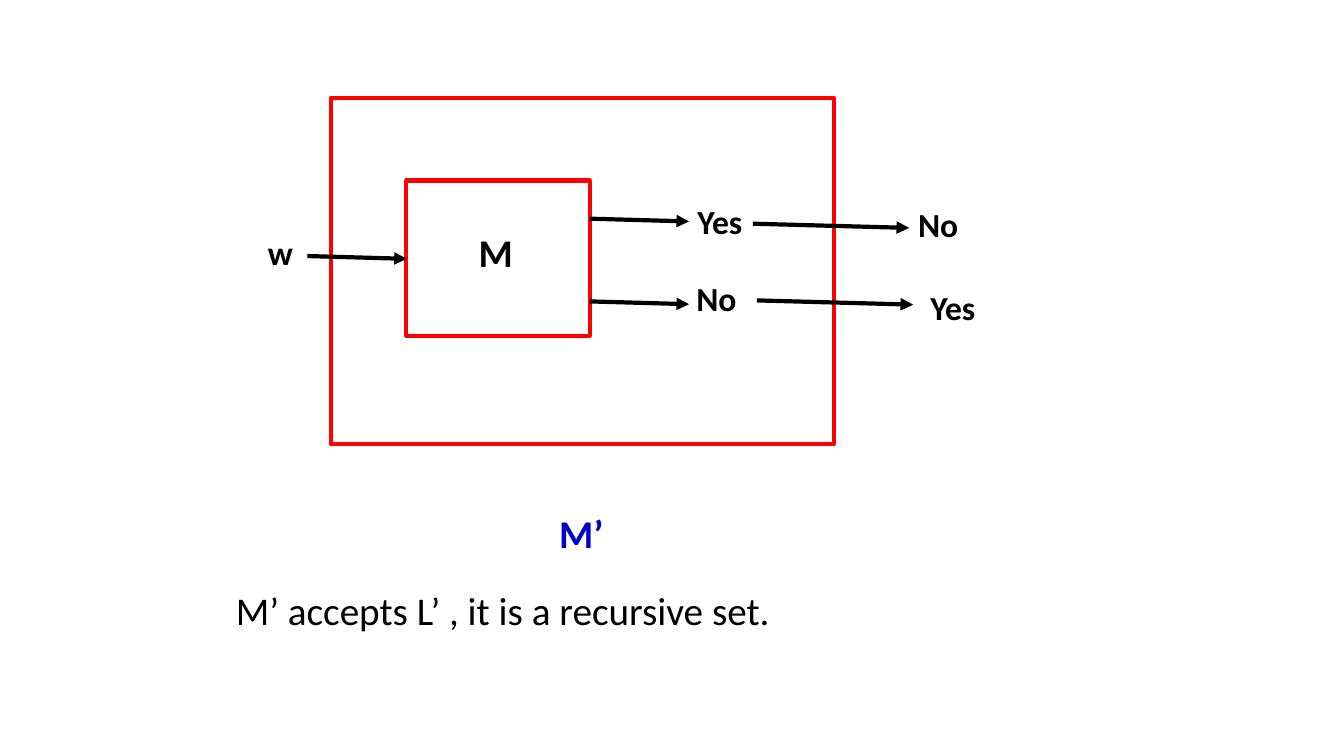
from dataclasses import dataclass

import pptx
import pptx.dml.color
import pptx.enum.shapes
import pptx.enum.text
import pptx.oxml
import pptx.oxml.ns
import pptx.slide
import pptx.util

Pt = pptx.util.Pt
RGBColor = pptx.dml.color.RGBColor

RED = RGBColor(0xFF, 0x00, 0x00)
BLUE = RGBColor(0x00, 0x00, 0xCC)
BLACK = RGBColor(0x00, 0x00, 0x00)
FONT_NAME = "Calibri"
LINE_WIDTH = 3


@dataclass
class Machine:
    left: float
    top: float
    width: float
    height: float


@dataclass
class Arrow:
    start_x: float
    start_y: float
    length: float
    drop: float


@dataclass
class Label:
    text: str
    left: float
    top: float
    width: float
    size: float = 24
    color: RGBColor = BLACK
    bold: bool = True


MACHINES = [
    Machine(236.2, 69.8, 359.3, 247.7),
    Machine(290.2, 128.9, 131, 110.9),
]

ARROWS = [
    Arrow(219.6, 182.9, 71, 2),     # input into M
    Arrow(421.2, 156.2, 71, 2),     # M answers Yes
    Arrow(421.2, 215.3, 71, 2),     # M answers No
    Arrow(537.8, 159.8, 111.6, 3),  # Yes becomes No
    Arrow(540.7, 214.6, 111.6, 3),  # No becomes Yes
]

LABELS = [
    Label("w", 184.3, 162, 31),
    Label("M", 334.8, 159.8, 57, size=28),
    Label("Yes", 491, 139.7, 62),
    Label("No", 490.3, 195.1, 62),
    Label("No", 648.7, 141.8, 62),
    Label("Yes", 657.4, 201.6, 62),
    Label("M’", 392.4, 360, 66, size=28, color=BLUE),
    Label("M’ accepts L’ , it is a recursive set.", 161.4, 415, 480, size=28, bold=False),
]


def draw_machine(slide: pptx.slide.Slide, machine: Machine) -> None:
    shape = slide.shapes.add_shape(
        pptx.enum.shapes.MSO_SHAPE.RECTANGLE,
        Pt(machine.left), Pt(machine.top), Pt(machine.width), Pt(machine.height),
    )
    shape.shadow.inherit = False
    shape.fill.background()
    shape.line.color.rgb = RED
    shape.line.width = Pt(LINE_WIDTH)


def draw_arrow(slide: pptx.slide.Slide, arrow: Arrow) -> None:
    connector = slide.shapes.add_connector(
        pptx.enum.shapes.MSO_CONNECTOR.STRAIGHT,
        Pt(arrow.start_x), Pt(arrow.start_y),
        Pt(arrow.start_x + arrow.length), Pt(arrow.start_y + arrow.drop),
    )
    connector.line.color.rgb = BLACK
    connector.line.width = Pt(LINE_WIDTH)
    head = pptx.oxml.parse_xml(
        f'<a:tailEnd {pptx.oxml.ns.nsdecls("a")} type="triangle"/>'
    )
    connector.line._get_or_add_ln().append(head)
    no_shadow = pptx.oxml.parse_xml(f'<a:effectLst {pptx.oxml.ns.nsdecls("a")}/>')
    connector._element.spPr.append(no_shadow)


def draw_label(slide: pptx.slide.Slide, label: Label) -> None:
    height = label.size * 1.2 + 7.2
    text_box = slide.shapes.add_textbox(
        Pt(label.left), Pt(label.top), Pt(label.width), Pt(height)
    )
    text_frame = text_box.text_frame
    text_frame.word_wrap = True
    text_frame.auto_size = pptx.enum.text.MSO_AUTO_SIZE.SHAPE_TO_FIT_TEXT
    run = text_frame.paragraphs[0].add_run()
    run.text = label.text
    run.font.name = FONT_NAME
    run.font.size = Pt(label.size)
    run.font.bold = label.bold
    run.font.color.rgb = label.color


def main() -> None:
    presentation = pptx.Presentation()
    presentation.slide_width = Pt(960)
    presentation.slide_height = Pt(540)
    slide = presentation.slides.add_slide(presentation.slide_layouts[6])

    # Outer machine M’ around the inner machine M
    for machine in MACHINES:
        draw_machine(slide, machine)

    # Input and answers
    for arrow in ARROWS:
        draw_arrow(slide, arrow)

    # Names, answers and conclusion
    for label in LABELS:
        draw_label(slide, label)

    presentation.save("out.pptx")


if __name__ == "__main__":
    main()
